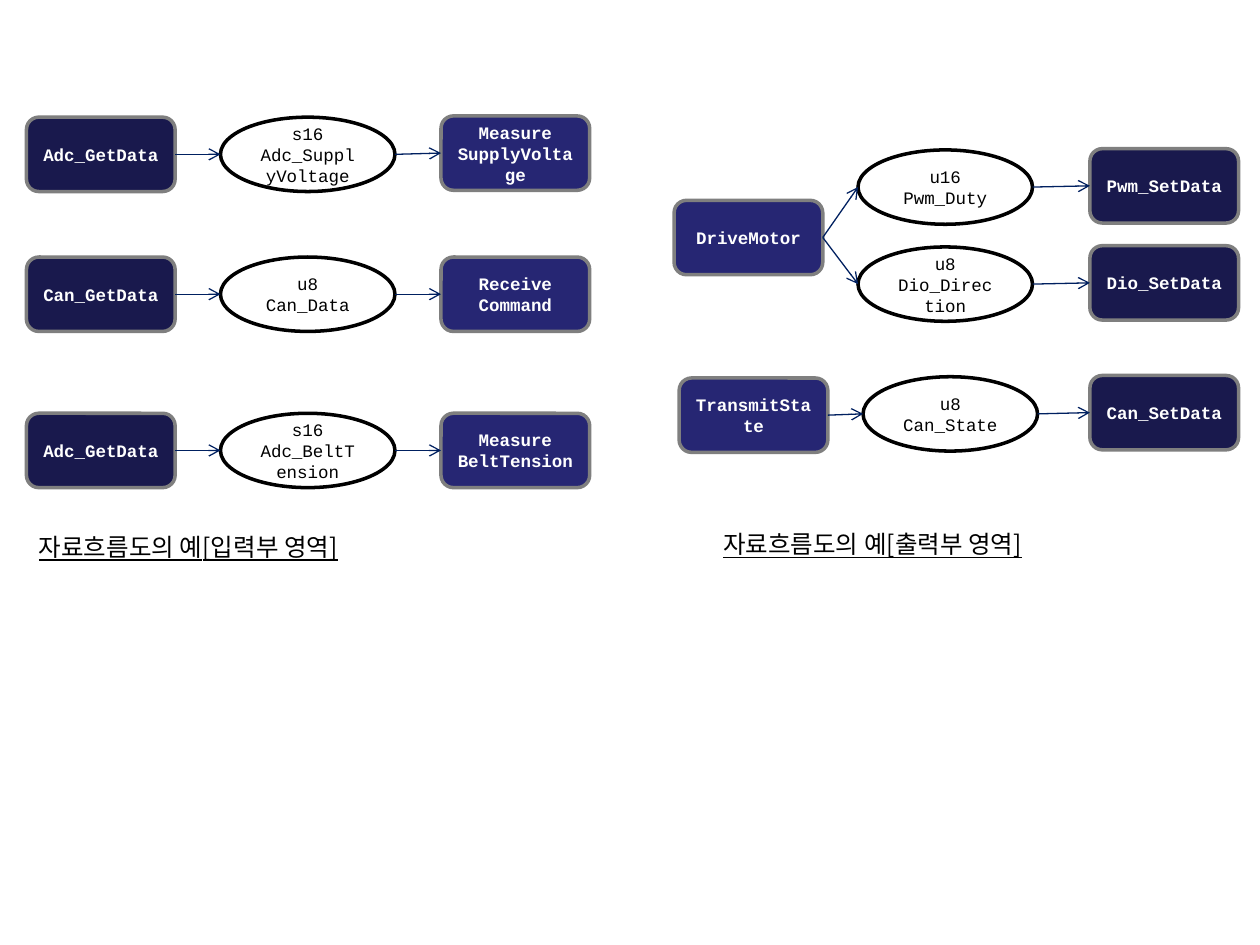
import pptx
import pptx.dml.color
import pptx.enum.shapes
import pptx.enum.text
import pptx.oxml
import pptx.oxml.ns
import pptx.util

Inches, Pt = pptx.util.Inches, pptx.util.Pt
SHAPES = pptx.enum.shapes.MSO_SHAPE
ALIGN = pptx.enum.text.PP_ALIGN

COLORS = {"driver": "19194D", "task": "262673", "data": "FFFFFF",
          "box line": "7F7F7F", "data line": "000000", "arrow": "002060",
          "light text": "FFFFFF", "dark text": "000000"}
CODE_FONT, CAPTION_FONT = "Courier New", "Noto Sans CJK KR"
BOX_WIDTH, DATA_WIDTH, NODE_HEIGHT = 1.18, 1.385, 0.59
LEFT_SIDE, RIGHT_SIDE = 1, 3

# name: (kind, left, top, lines)
NODES = {
    "supply in": ("driver", 0.21, 0.93, "Adc_GetData"),
    "supply": ("data", 1.75, 0.93, "s16\nAdc_SupplyVoltage"),
    "measure supply": ("task", 3.5, 0.92, "Measure\nSupplyVoltage"),
    "command in": ("driver", 0.21, 2.04, "Can_GetData"),
    "command": ("data", 1.75, 2.04, "u8\nCan_Data"),
    "receive": ("task", 3.5, 2.04, "Receive\nCommand"),
    "tension in": ("driver", 0.21, 3.28, "Adc_GetData"),
    "tension": ("data", 1.75, 3.28, "s16\nAdc_BeltTension"),
    "measure tension": ("task", 3.5, 3.28, "Measure\nBeltTension"),
    "drive": ("task", 5.35, 1.59, "DriveMotor"),
    "duty": ("data", 6.81, 1.19, "u16\nPwm_Duty"),
    "duty out": ("driver", 8.65, 1.18, "Pwm_SetData"),
    "direction": ("data", 6.81, 1.96, "u8\nDio_Direction"),
    "direction out": ("driver", 8.65, 1.95, "Dio_SetData"),
    "transmit": ("task", 5.39, 3.0, "TransmitState"),
    "state": ("data", 6.85, 2.99, "u8\nCan_State"),
    "state out": ("driver", 8.65, 2.98, "Can_SetData"),
}
# Each flow runs from a box through a data item to another box
FLOWS = [
    ("supply in", "supply", "measure supply"),
    ("command in", "command", "receive"),
    ("tension in", "tension", "measure tension"),
    ("drive", "duty", "duty out"),
    ("drive", "direction", "direction out"),
    ("transmit", "state", "state out"),
]
CAPTIONS = [(0.21, 4.17, "자료흐름도의 예[입력부 영역]"),
            (5.64, 4.15, "자료흐름도의 예[출력부 영역]")]


def rgb(name):
    return pptx.dml.color.RGBColor.from_string(COLORS[name])


def format_text(frame, size, font_name, color, alignment, bold=False, underline=False):
    for paragraph in frame.paragraphs:
        paragraph.alignment = alignment
        for run in paragraph.runs:
            font = run.font
            font.size, font.name = Pt(size), font_name
            font.bold, font.underline = bold, underline
            font.color.rgb = rgb(color)
            east_asian = pptx.oxml.ns.qn("a:ea")
            run._r.get_or_add_rPr().makeelement(east_asian)
            font._element.append(font._element.makeelement(east_asian, {"typeface": font_name}))


def add_node(slide, kind, left, top, text):
    is_data = kind == "data"
    shape = slide.shapes.add_shape(
        SHAPES.OVAL if is_data else SHAPES.ROUNDED_RECTANGLE,
        Inches(left), Inches(top),
        Inches(DATA_WIDTH if is_data else BOX_WIDTH), Inches(NODE_HEIGHT))
    shape.shadow.inherit = False
    shape.fill.solid()
    shape.fill.fore_color.rgb = rgb(kind)
    shape.line.color.rgb = rgb("data line" if is_data else "box line")
    shape.line.width = Pt(2)
    frame = shape.text_frame
    frame.word_wrap = True
    frame.vertical_anchor = pptx.enum.text.MSO_ANCHOR.MIDDLE
    frame.text = text
    format_text(frame, 10, CODE_FONT, "dark text" if is_data else "light text",
                ALIGN.CENTER, bold=not is_data)
    return shape


def add_arrow(slide, source, target):
    """Draw an arrow from the right side of source to the left side of target."""
    connector = slide.shapes.add_connector(
        pptx.enum.shapes.MSO_CONNECTOR.STRAIGHT,
        source.left + source.width, source.top + source.height // 2,
        target.left, target.top + target.height // 2)
    if source.auto_shape_type == SHAPES.ROUNDED_RECTANGLE:
        connector.begin_connect(source, RIGHT_SIDE)
    if target.auto_shape_type == SHAPES.ROUNDED_RECTANGLE:
        connector.end_connect(target, LEFT_SIDE)
    connector.line.color.rgb = rgb("arrow")
    connector.line.width = Pt(0.75)
    namespace = pptx.oxml.ns.nsdecls("a")
    connector.line._get_or_add_ln().append(
        pptx.oxml.parse_xml(f'<a:tailEnd {namespace} type="arrow"/>'))
    connector._element.spPr.append(pptx.oxml.parse_xml(f"<a:effectLst {namespace}/>"))


def add_caption(slide, left, top, text):
    box = slide.shapes.add_textbox(Inches(left), Inches(top), Inches(4.19), Inches(0.34))
    frame = box.text_frame
    frame.word_wrap = True
    frame.auto_size = pptx.enum.text.MSO_AUTO_SIZE.SHAPE_TO_FIT_TEXT
    frame.text = text
    format_text(frame, 14, CAPTION_FONT, "dark text", ALIGN.LEFT, underline=True)


def main():
    presentation = pptx.Presentation()
    presentation.slide_width, presentation.slide_height = Inches(10), Inches(7.5)
    slide = presentation.slides.add_slide(presentation.slide_layouts[6])
    shapes = {name: add_node(slide, *node) for name, node in NODES.items()}
    for source, data, target in FLOWS:
        add_arrow(slide, shapes[source], shapes[data])
        add_arrow(slide, shapes[data], shapes[target])
    for caption in CAPTIONS:
        add_caption(slide, *caption)
    presentation.save("out.pptx")


if __name__ == "__main__":
    main()
